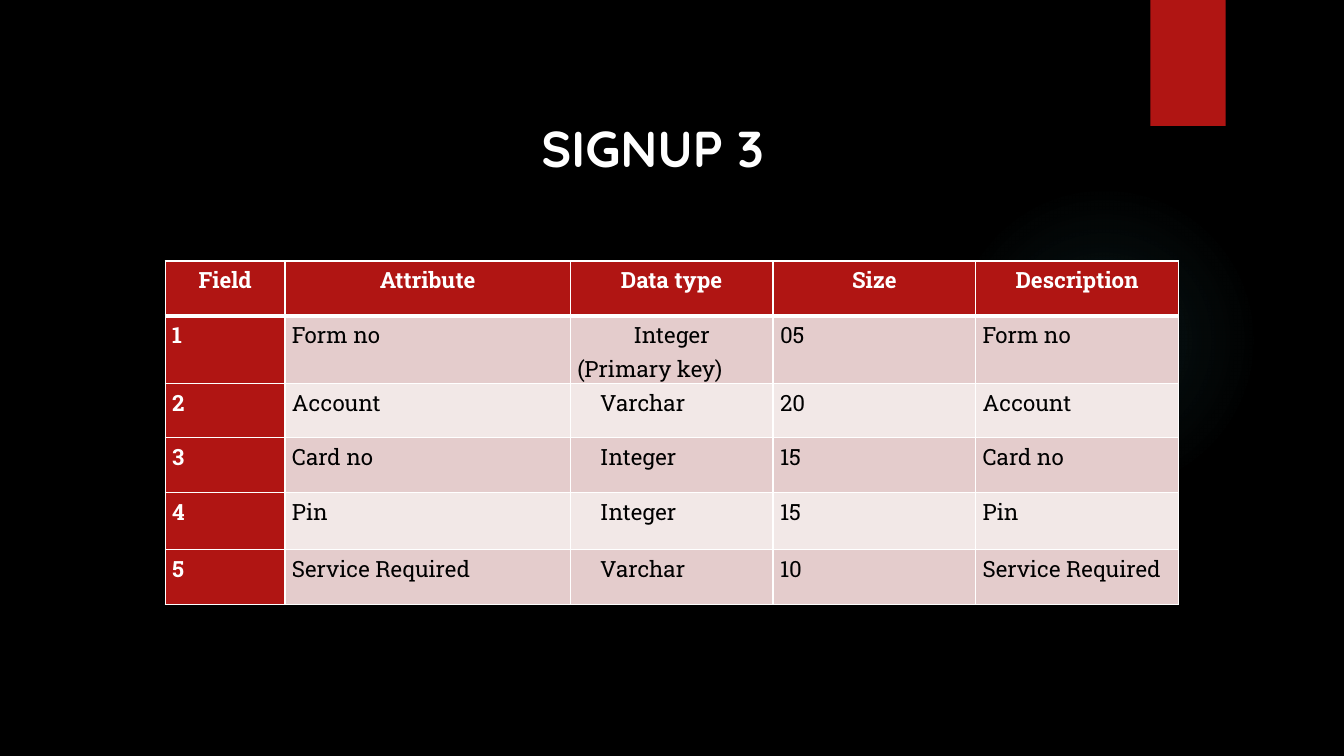
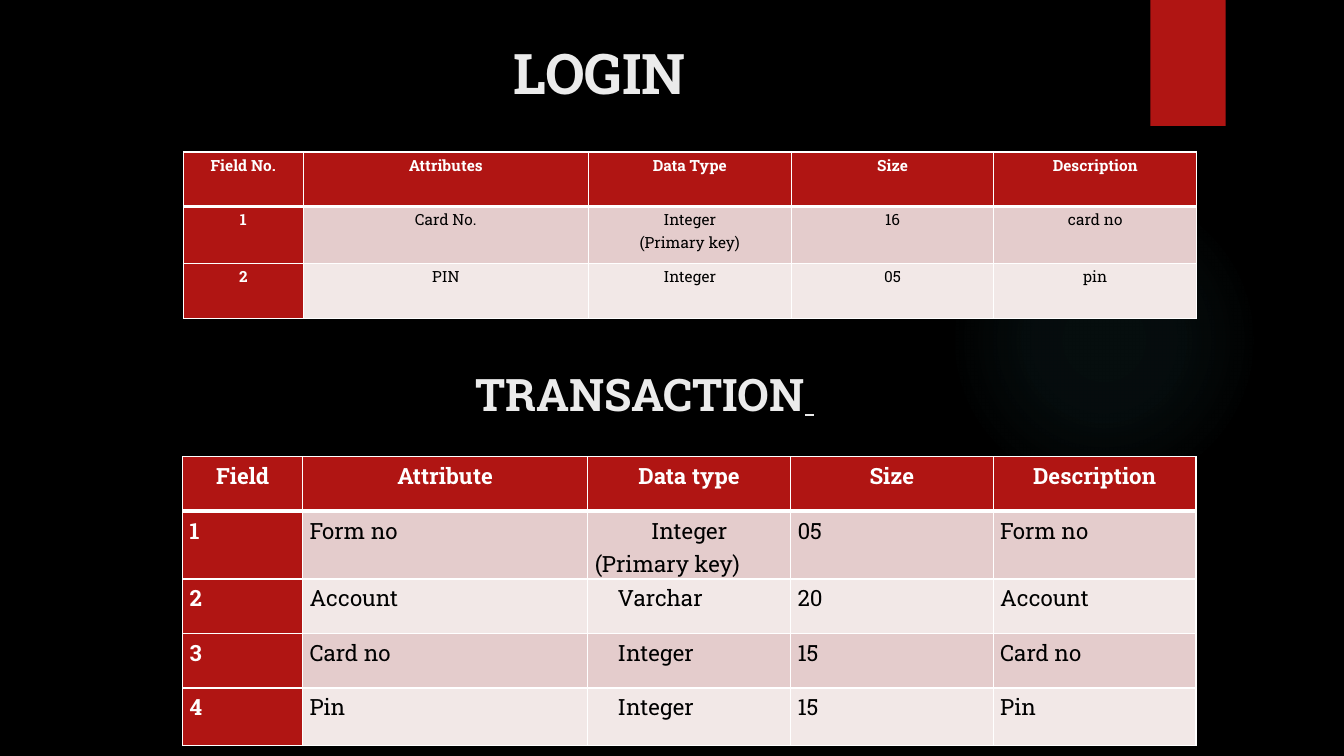
from lxml import etree
from pptx import Presentation
from pptx.dml.color import RGBColor
from pptx.enum.shapes import MSO_SHAPE
from pptx.enum.text import MSO_ANCHOR, MSO_AUTO_SIZE, PP_ALIGN
from pptx.oxml import parse_xml
from pptx.oxml.ns import nsdecls, qn
from pptx.util import Pt

ELLIPSE, RECTANGLE = MSO_SHAPE.OVAL, MSO_SHAPE.RECTANGLE
LEFT, CENTER = PP_ALIGN.LEFT, PP_ALIGN.CENTER
TOP, BOTTOM = MSO_ANCHOR.TOP, MSO_ANCHOR.BOTTOM
NO_AUTOFIT = MSO_AUTO_SIZE.NONE

BLACK, WHITE, OFF_WHITE = "000000", "FFFFFF", "EBEBEB"
RED, PINK, PALE_PINK = "B01513", "E4CCCC", "F2E8E7"
GLOW = "50B9C1"
GLOW_STOPS = [(0, 7), (36, 6), (69, 0)]
SLAB, ROUNDED = "Roboto Slab", "Quicksand"

COLUMN_WIDTHS = [85.6, 203.8, 144.8, 144.8, 144.8]
ROW_HEIGHTS = [39, 41, 39, 39, 41, 39]
TYPE_COLUMN = 2
CELL_MARGIN, TYPE_MARGIN = 5, 21.4

SIGNUP_ROWS = [
    ["Field", "Attribute", "Data type", "Size", "Description"],
    ["1", "Form no", "Integer\n(Primary key)", "05", "Form no"],
    ["2", "Account", "Varchar", "20", "Account"],
    ["3", "Card no", "Integer", "15", "Card no"],
    ["4", "Pin", "Integer", "15", "Pin"],
    ["5", "Service Required", "Varchar", "10", "Service Required"],
]
TRANSACTION_ROWS = SIGNUP_ROWS[:5]
LOGIN_ROWS = [
    ["Field No.", "Attributes", "Data Type", "Size", "Description"],
    ["1", "Card No.", "Integer\n(Primary key)", "16", "card no"],
    ["2", "PIN", "Integer", "05", "pin"],
]


def color(value):
    return RGBColor.from_string(value)


def style_font(font, name, size, fill, bold=True):
    font.name = name
    font.size = Pt(size)
    font.bold = bold
    font.color.rgb = color(fill)


def add_plain_shape(page, kind, left, top, width, height):
    shape = page.shapes.add_shape(kind, Pt(left), Pt(top), Pt(width), Pt(height))
    shape.shadow.inherit = False
    shape.line.fill.background()
    return shape


def add_glow(page):
    glow = add_plain_shape(page, ELLIPSE, 677.5, 131.8, 221.8, 221.8)
    stops = "".join(
        f'<a:gs pos="{position * 1000}"><a:srgbClr val="{GLOW}">'
        f'<a:alpha val="{alpha * 1000}"/></a:srgbClr></a:gs>'
        for position, alpha in GLOW_STOPS
    )
    gradient = parse_xml(
        f'<a:gradFill {nsdecls("a")}><a:gsLst>{stops}</a:gsLst>'
        '<a:path path="circle"><a:fillToRect l="50000" t="50000" r="50000" b="50000"/>'
        "</a:path></a:gradFill>"
    )
    glow.element.spPr.find(qn("a:prstGeom")).addnext(gradient)


def add_page(deck):
    page = deck.slides.add_slide(deck.slide_layouts[5])
    add_glow(page)
    ribbon = add_plain_shape(page, RECTANGLE, 821.8, 0, 53.8, 90)
    ribbon.fill.solid()
    ribbon.fill.fore_color.rgb = color(RED)
    return page


def write_heading(box, text, place, name, size, fill, anchor):
    box.left, box.top, box.width, box.height = map(Pt, place)
    frame = box.text_frame
    frame.word_wrap = True
    frame.auto_size = NO_AUTOFIT
    frame.vertical_anchor = anchor
    para = frame.paragraphs[0]
    para.alignment = LEFT
    span = para.add_run()
    span.text = text
    style_font(span.font, name, size, fill)
    return para


def set_borders(cell, top, bottom):
    properties = cell._tc.get_or_add_tcPr()
    for side, width in (("lnL", 1), ("lnR", 1), ("lnT", top), ("lnB", bottom)):
        line = etree.SubElement(properties, qn(f"a:{side}"), w=str(Pt(width)))
        fill = etree.SubElement(line, qn("a:solidFill"))
        etree.SubElement(fill, qn("a:srgbClr"), val=WHITE)


def write_cell(cell, text, row, column, size, centered):
    is_label = row == 0 or column == 0
    lines = text.split("\n")
    indented = column == TYPE_COLUMN and row > 0 and len(lines) == 1 and not centered
    cell.margin_left = Pt(TYPE_MARGIN if indented else CELL_MARGIN)
    cell.margin_right = Pt(CELL_MARGIN)
    cell.margin_top = cell.margin_bottom = 0
    set_borders(cell, 3 if row == 1 else 1, 3 if row == 0 else 1)
    cell.fill.solid()
    band = PINK if row % 2 else PALE_PINK
    cell.fill.fore_color.rgb = color(RED if is_label else band)
    cell.text = text
    for index, para in enumerate(cell.text_frame.paragraphs):
        leads_pair = len(lines) > 1 and index == 0
        para.alignment = CENTER if centered or row == 0 or leads_pair else LEFT
        para.line_spacing = 1.15
        style_font(para.font, SLAB, size, WHITE if is_label else BLACK, is_label)


def add_field_table(page, rows, left, top, size, centered=False):
    heights = ROW_HEIGHTS[:len(rows)]
    frame = page.shapes.add_table(
        len(rows), len(COLUMN_WIDTHS), Pt(left), Pt(top),
        Pt(sum(COLUMN_WIDTHS)), Pt(sum(heights)),
    )
    table = frame.table
    for column, width in zip(table.columns, COLUMN_WIDTHS):
        column.width = Pt(width)
    for row, height in zip(table.rows, heights):
        row.height = Pt(height)
    for row, texts in enumerate(rows):
        for column, text in enumerate(texts):
            write_cell(table.cell(row, column), text, row, column, size, centered)


def build_signup(deck):
    page = add_page(deck)
    write_heading(page.shapes.title, "SIGNUP 3", (379.5, 80, 305.3, 51),
                  ROUNDED, 36, WHITE, TOP)
    add_field_table(page, SIGNUP_ROWS, 118, 186.5, 16)


def build_login_and_transaction(deck):
    page = add_page(deck)
    write_heading(page.shapes.title, "LOGIN", (359.3, 38.9, 267.8, 40.3),
                  SLAB, 40, OFF_WHITE, BOTTOM)
    add_field_table(page, LOGIN_ROWS, 131, 108.5, 11, centered=True)
    add_field_table(page, TRANSACTION_ROWS, 130.5, 326.2, 16)
    box = page.shapes.add_textbox(0, 0, 0, 0)
    para = write_heading(box, "TRANSACTION", (332.6, 263.5, 267.8, 40.3),
                         SLAB, 32, OFF_WHITE, BOTTOM)
    span = para.add_run()
    span.text = " "
    style_font(span.font, ROUNDED, 24, OFF_WHITE)
    span.font.underline = True


def main():
    deck = Presentation()
    deck.slide_width, deck.slide_height = Pt(960), Pt(540)
    background = deck.slide_master.background.fill
    background.solid()
    background.fore_color.rgb = color(BLACK)
    build_signup(deck)
    build_login_and_transaction(deck)
    deck.save("out.pptx")


if __name__ == "__main__":
    main()
